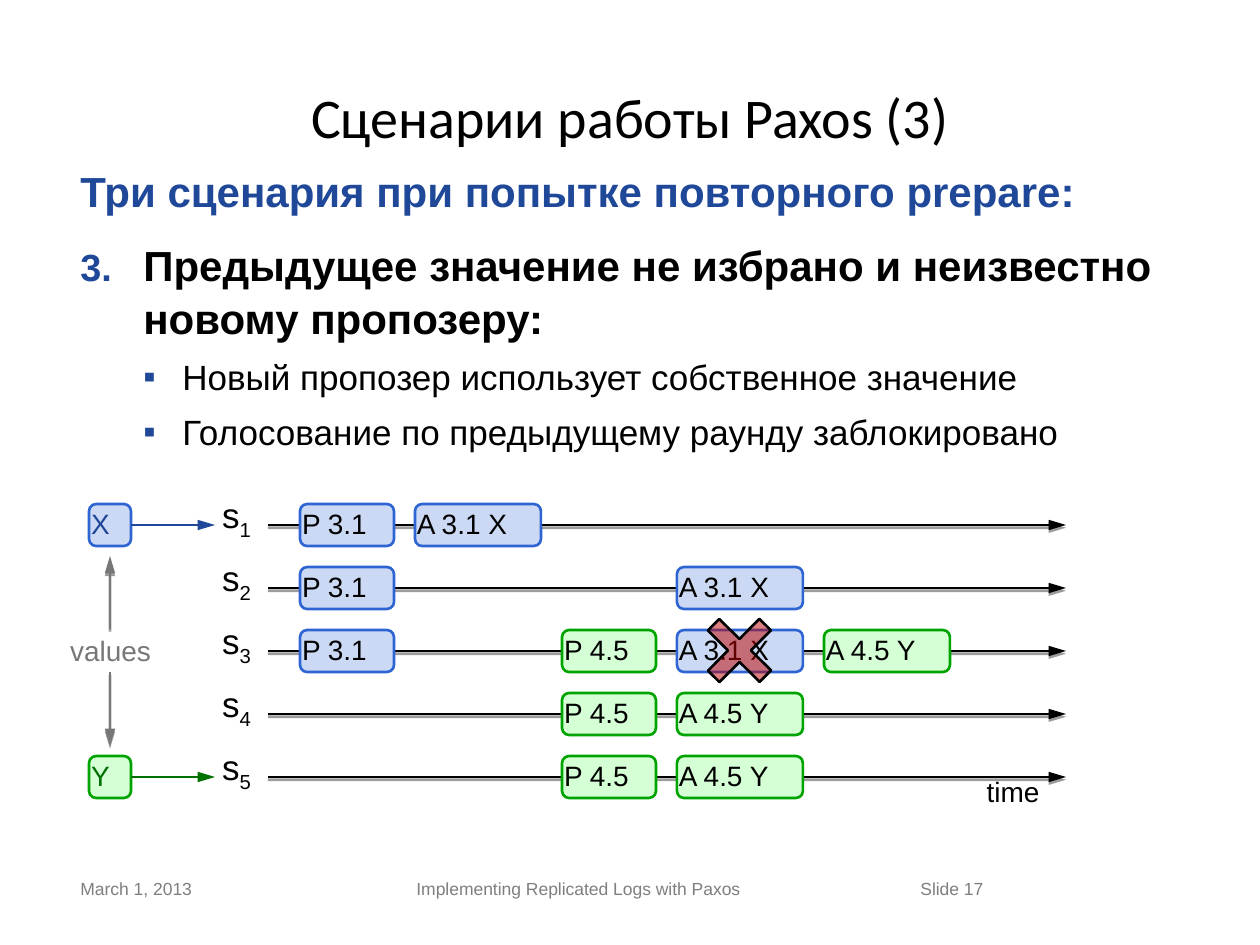
from lxml import etree
from pptx import Presentation
from pptx.dml.color import RGBColor
from pptx.enum import shapes, text
from pptx.oxml import ns
from pptx.util import Pt

PX = 914400 / 126
BLACK, GRAY, FOOTER_GRAY, NAVY, DARK_GREEN = "000000", "777777", "7F7F7F", "1F4899", "007000"
BLUE_BOX, GREEN_BOX = ("CCD9F4", "2E65D2"), ("D5FFD5", "00A400")
LEFT, CENTER = text.PP_ALIGN.LEFT, text.PP_ALIGN.CENTER

TITLE = "Сценарии работы Paxos (3)"
NUMBERED = {"number": 3, "margin": 63, "hang": 63}
BULLETED = {"margin": 102, "hang": 39}
# text, size, bold, colour, space before, bullet
BODY = [
    ("Три сценария при попытке повторного prepare:", 24, True, NAVY, 12, None),
    ("Предыдущее значение не избрано и неизвестно новому пропозеру:", 24, True, BLACK, 12, NUMBERED),
    ("Новый пропозер использует собственное значение", 20, False, BLACK, 6, BULLETED),
    ("Голосование по предыдущему раунду заблокировано", 20, False, BLACK, 6, BULLETED),
]
# text, left, width
FOOTERS = [
    ("March 1, 2013", 68, 294),
    ("Implementing Replicated Logs with Paxos", 404, 473),
    ("Slide 17", 908, 294),
]
# text, left, box colours, for each server
SERVERS = [
    [("P 3.1", 300, BLUE_BOX), ("A 3.1 X", 415, BLUE_BOX)],
    [("P 3.1", 300, BLUE_BOX), ("A 3.1 X", 677, BLUE_BOX)],
    [("P 3.1", 300, BLUE_BOX), ("P 4.5", 562, GREEN_BOX),
     ("A 3.1 X", 677, BLUE_BOX), ("A 4.5 Y", 824, GREEN_BOX)],
    [("P 4.5", 562, GREEN_BOX), ("A 4.5 Y", 677, GREEN_BOX)],
    [("P 4.5", 562, GREEN_BOX), ("A 4.5 Y", 677, GREEN_BOX)],
]
WIDTHS = {"P": 94, "A": 126}
# text, row, box colours, text and arrow colour
VALUES = [("X", 0, BLUE_BOX, NAVY), ("Y", 4, GREEN_BOX, DARK_GREEN)]
ROW_TOP, ROW_STEP, BOX_HEIGHT = 504, 63, 42


def px(*lengths):
    return [round(length * PX) for length in lengths]


def color(hex_string):
    return RGBColor.from_string(hex_string)


def add_xml(parent, tag, **attributes):
    return etree.SubElement(parent, ns.qn(tag), {k: str(v) for k, v in attributes.items()})


def row_middle(row):
    return ROW_TOP + row * ROW_STEP + BOX_HEIGHT // 2


def set_frame(shape, inset, anchor=text.MSO_ANCHOR.TOP):
    frame = shape.text_frame
    settings = {"word_wrap": True, "vertical_anchor": anchor, "auto_size": text.MSO_AUTO_SIZE.NONE}
    settings.update({f"margin_{side}": 0 for side in ("left", "right", "top", "bottom") if not inset})
    for name, value in settings.items():
        setattr(frame, name, value)
    return frame


def write(paragraph, words, size, hex_string, align=LEFT, font="Arial", bold=False):
    paragraph.alignment = align
    run = paragraph.add_run()
    run.text = words
    for name, value in {"size": Pt(size), "name": font, "bold": bold}.items():
        setattr(run.font, name, value)
    run.font.color.rgb = color(hex_string)
    return run


def add_text(slide, box, words, size, hex_string, align=LEFT, inset=False):
    shape = slide.shapes.add_textbox(*px(*box))
    paragraph = set_frame(shape, inset).paragraphs[0]
    write(paragraph, words, size, hex_string, align)
    return paragraph


def add_filled(slide, preset, box, adjustment, fill, line):
    shape = slide.shapes.add_shape(preset, *px(*box))
    shape.adjustments[0] = adjustment
    shape.shadow.inherit = False
    shape.fill.solid()
    shape.fill.fore_color.rgb = color(fill)
    shape.line.color.rgb = color(line)
    shape.line.width = Pt(1.5)
    return shape


def add_box(slide, words, left, row, width, colors, text_color=BLACK):
    box = (left, ROW_TOP + row * ROW_STEP, width, BOX_HEIGHT)
    shape = add_filled(slide, shapes.MSO_SHAPE.ROUNDED_RECTANGLE, box, 0.167, *colors)
    paragraph = set_frame(shape, False, text.MSO_ANCHOR.MIDDLE).paragraphs[0]
    paragraph.line_spacing = Pt(17)
    write(paragraph, words, 16, text_color)
    return shape


def add_arrow(slide, ends, hex_string, shadow=True):
    arrow = slide.shapes.add_connector(shapes.MSO_CONNECTOR.STRAIGHT, *px(*ends))
    arrow.line.color.rgb = color(hex_string)
    arrow.line.width = Pt(1.5)
    add_xml(arrow.line._get_or_add_ln(), "a:tailEnd", type="triangle", w="med", len="lg")
    effects = add_xml(arrow._element.spPr, "a:effectLst")
    if shadow:
        outer = add_xml(effects, "a:outerShdw", blurRad=0, dist=Pt(1.6), dir=5400000, rotWithShape=0)
        add_xml(add_xml(outer, "a:srgbClr", val=BLACK), "a:alpha", val=38000)
    return arrow


def add_bullet(paragraph, bullet):
    properties = paragraph._p.get_or_add_pPr()
    margin, hang = px(bullet["margin"], bullet["hang"])
    properties.set("marL", str(margin))
    properties.set("indent", str(-hang))
    add_xml(add_xml(properties, "a:buClr"), "a:srgbClr", val=NAVY)
    if "number" in bullet:
        add_xml(properties, "a:buSzPct", val=90000)
        add_xml(properties, "a:buFont", typeface="Arial")
        add_xml(properties, "a:buAutoNum", type="arabicPeriod", startAt=bullet["number"])
    else:
        properties.set("lvl", "1")
        add_xml(properties, "a:buFont", typeface="Arial")
        add_xml(properties, "a:buChar", char="▪")


def add_heading_and_body(slide):
    title = slide.shapes.title
    title.left, title.top, title.width, title.height = px(63, 38, 1134, 157)
    frame = set_frame(title, False, text.MSO_ANCHOR.MIDDLE)
    write(frame.paragraphs[0], TITLE, 32, BLACK, CENTER, "Calibri")

    frame = set_frame(slide.shapes.add_textbox(*px(68, 157, 1134, 210)), True)
    for index, (words, size, bold, hex_string, before, bullet) in enumerate(BODY):
        paragraph = frame.add_paragraph() if index else frame.paragraphs[0]
        paragraph.space_before = Pt(before)
        paragraph.line_spacing = 1.05
        write(paragraph, words, size, hex_string, bold=bold)
        if bullet:
            add_bullet(paragraph, bullet)

    for words, left, width in FOOTERS:
        add_text(slide, (left, 872, width, 54), words, 10, FOOTER_GRAY, inset=True)


def add_timelines(slide):
    for row in range(len(SERVERS)):
        middle = row_middle(row)
        add_arrow(slide, (268, middle, 1066, middle), BLACK)
        label = add_text(slide, (205, middle - 31, 63, 48), "s", 20, BLACK, CENTER)
        subscript = write(label, str(row + 1), 20, BLACK, CENTER)
        subscript.font._element.set("baseline", "-25000")
    add_text(slide, (971, 775, 84, 34), "time", 16, BLACK, CENTER)

    for row, messages in enumerate(SERVERS):
        for words, left, colors in messages:
            add_box(slide, words, left, row, WIDTHS[words[0]], colors)

    cross = add_filled(slide, shapes.MSO_SHAPE.CROSS, (703, 614, 73, 73), 0.389, "C00000", BLACK)
    cross.rotation = 44.8
    add_xml(cross.fill._xPr.find(".//" + ns.qn("a:srgbClr")), "a:alpha", val=50000)


def add_values(slide):
    for words, row, colors, hex_string in VALUES:
        box = add_box(slide, words, 89, row, 42, colors, hex_string)
        middle = row_middle(row)
        arrow = add_arrow(slide, (131, middle, 215, middle), hex_string, shadow=False)
        arrow.begin_connect(box, 3)
    add_text(slide, (58, 634, 105, 34), "values", 16, GRAY, CENTER)
    for start, end in ((629, 556), (672, 746)):
        add_arrow(slide, (110, start, 110, end), GRAY)


def main():
    presentation = Presentation()
    presentation.slide_width, presentation.slide_height = px(1260, 945)
    slide = presentation.slides.add_slide(presentation.slide_layouts[5])
    add_heading_and_body(slide)
    add_timelines(slide)
    add_values(slide)
    presentation.save("out.pptx")


if __name__ == "__main__":
    main()
